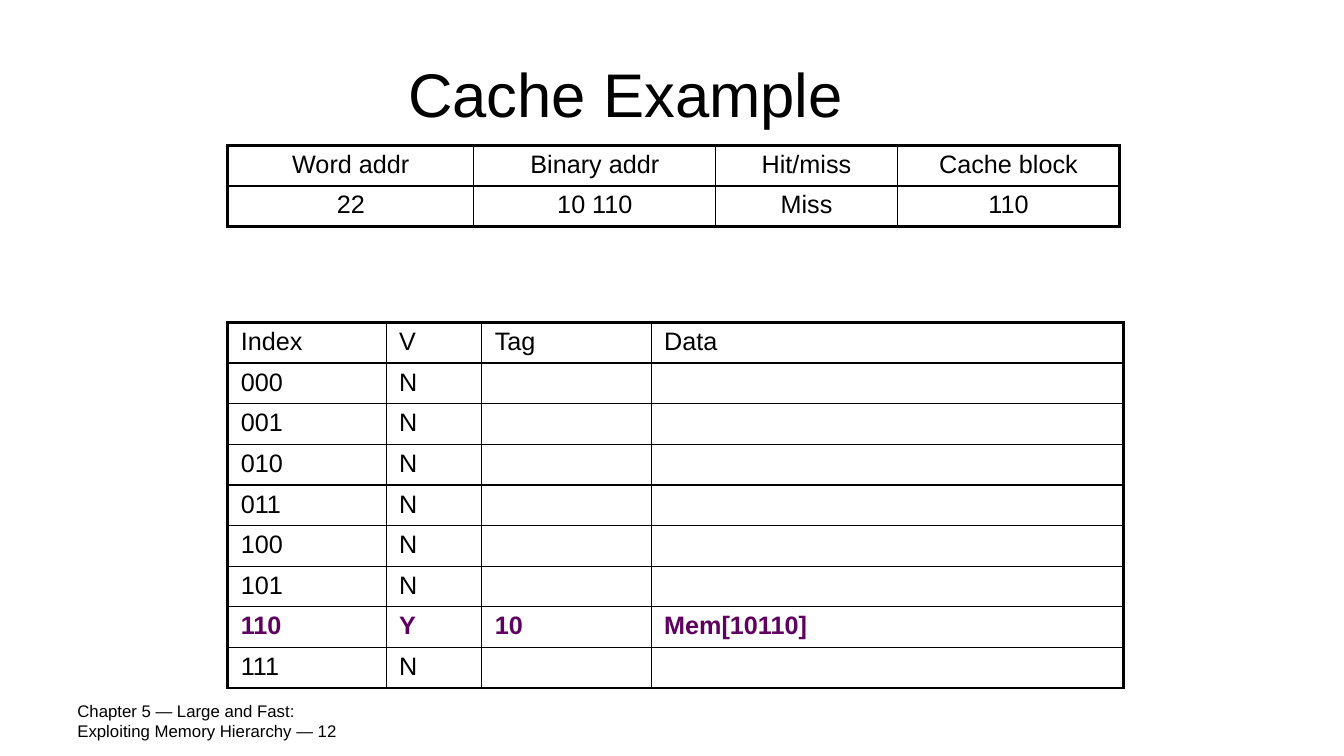
from dataclasses import dataclass

import lxml.etree
import pptx
import pptx.dml.color
import pptx.enum.text
import pptx.oxml.ns
import pptx.slide
import pptx.table
import pptx.text.text
import pptx.util

Cm = pptx.util.Cm
Align = pptx.enum.text.PP_ALIGN
Anchor = pptx.enum.text.MSO_ANCHOR
qn = pptx.oxml.ns.qn

BLACK = pptx.dml.color.RGBColor(0x00, 0x00, 0x00)
PURPLE = pptx.dml.color.RGBColor(0x5F, 0x00, 0x60)
FONT = "Arial"
THIN, RULE, THICK = 1, 1.5, 2.25
ROW = 1.02


@dataclass
class Grid:
    left: float
    top: float
    widths: list[float]
    rows: list[list[str]]
    align: Align
    hot: int = -1


def write(
    frame: pptx.text.text.TextFrame,
    text: str,
    *,
    size: float = 18,
    color: pptx.dml.color.RGBColor = BLACK,
    bold: bool = False,
    align: Align = Align.LEFT,
) -> None:
    frame.word_wrap = True
    par = frame.paragraphs[0]
    par.alignment = align
    run = par.add_run()
    run.text = text
    run.font.name = FONT
    run.font.size = pptx.util.Pt(size)
    run.font.bold = bold
    run.font.color.rgb = color


def border(cell: pptx.table._Cell, sides: dict[str, float]) -> None:
    props = cell._tc.get_or_add_tcPr()
    for side, width in sides.items():
        line = lxml.etree.SubElement(props, qn(f"a:ln{side}"), w=str(pptx.util.Pt(width)))
        fill = lxml.etree.SubElement(line, qn("a:solidFill"))
        lxml.etree.SubElement(fill, qn("a:srgbClr"), val=str(BLACK))


def draw(slide: pptx.slide.Slide, grid: Grid) -> None:
    count, span = len(grid.rows), len(grid.widths)
    table = slide.shapes.add_table(
        count, span, Cm(grid.left), Cm(grid.top), Cm(sum(grid.widths)), Cm(ROW * count)
    ).table
    table.first_row = table.horz_banding = False
    for col, width in zip(table.columns, grid.widths):
        col.width = Cm(width)
    levels = [THICK, RULE] + [THIN] * (count - 2) + [THICK]
    posts = [THICK] + [THIN] * (span - 1) + [THICK]
    for r, row in enumerate(grid.rows):
        for c, text in enumerate(row):
            cell = table.cell(r, c)
            cell.margin_left = cell.margin_right = Cm(0.33)
            cell.margin_top = cell.margin_bottom = Cm(0.13)
            border(cell, {"L": posts[c], "R": posts[c + 1], "T": levels[r], "B": levels[r + 1]})
            cell.fill.background()
            if text:
                hot = r == grid.hot
                write(
                    cell.text_frame,
                    text,
                    color=PURPLE if hot else BLACK,
                    bold=hot,
                    align=grid.align,
                )


def main() -> None:
    deck = pptx.Presentation()
    deck.slide_width, deck.slide_height = Cm(33.87), Cm(19.05)
    slide = deck.slides.add_slide(deck.slide_layouts[5])

    title = slide.shapes.title
    title.left, title.top, title.width, title.height = Cm(1.7), Cm(0.76), Cm(28.14), Cm(3.18)
    title.text_frame.vertical_anchor = Anchor.MIDDLE
    write(title.text_frame, "Cache Example", size=44, align=Align.CENTER)

    foot = slide.shapes.add_textbox(Cm(1.7), Cm(17.65), Cm(7.9), Cm(1.02)).text_frame
    foot.vertical_anchor = Anchor.MIDDLE
    write(foot, "Chapter 5 — Large and Fast: Exploiting Memory Hierarchy — 12", size=12)

    blocks = [[f"{n:03b}", "N", "", ""] for n in range(8)]
    blocks[6] = ["110", "Y", "10", "Mem[10110]"]
    cache = Grid(
        5.74,
        8.13,
        [3.99, 2.41, 4.27, 11.91],
        [["Index", "V", "Tag", "Data"], *blocks],
        Align.LEFT,
        hot=7,
    )
    access = Grid(
        5.74,
        3.66,
        [6.2, 6.1, 4.57, 5.61],
        [["Word addr", "Binary addr", "Hit/miss", "Cache block"], ["22", "10 110", "Miss", "110"]],
        Align.CENTER,
    )
    for grid in (cache, access):
        draw(slide, grid)

    deck.save("out.pptx")


if __name__ == "__main__":
    main()
